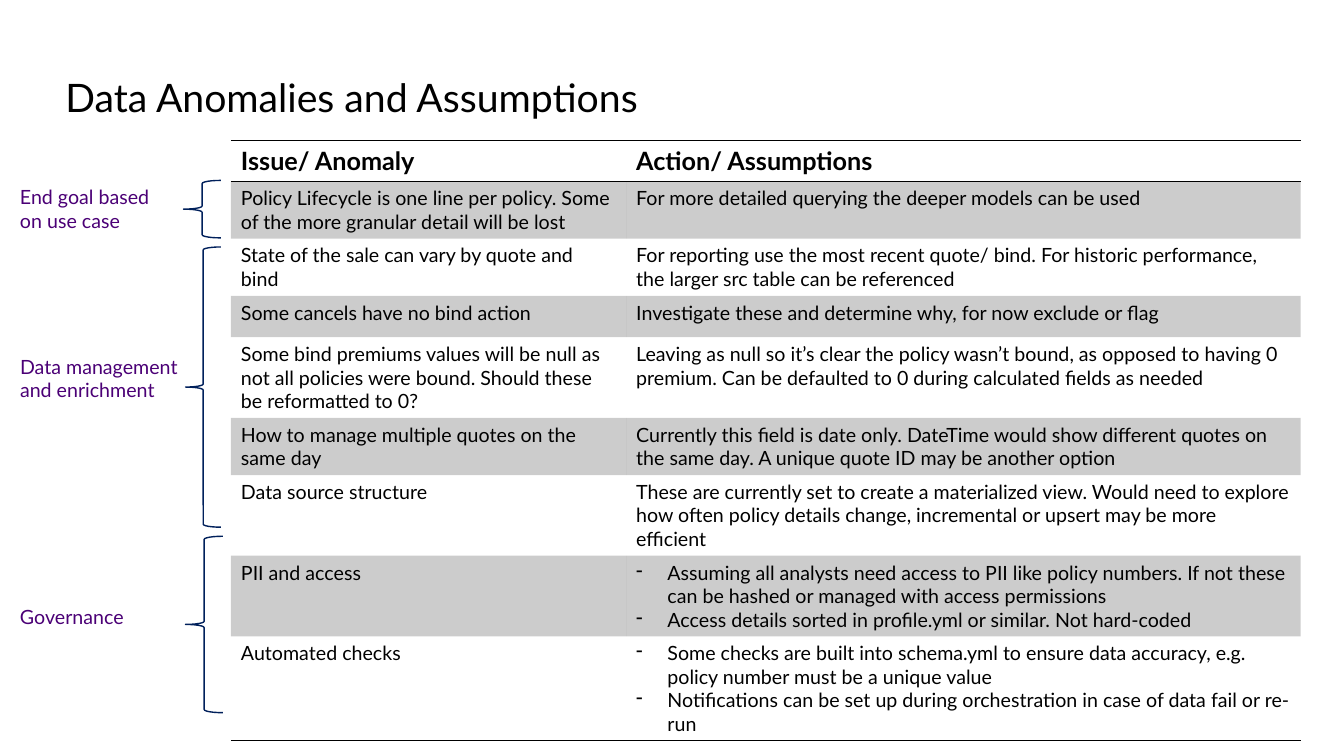
import pptx
import pptx.dml.color
import pptx.enum.shapes
import pptx.enum.text
import pptx.oxml
import pptx.oxml.ns
import pptx.util
from lxml import etree

Inches = pptx.util.Inches
Pt = pptx.util.Pt
qn = pptx.oxml.ns.qn

FONT = "Lato"
COLOURS = {"text": "000000", "label": "4B0076", "brace": "00205B"}
NO_TABLE_STYLE = "{2D5ABB26-0587-4C30-8999-92F81FD0307C}"

HEADINGS = ("Issue/ Anomaly", "Action/ Assumptions")
# An action given as a list is shown with dashes
ISSUES = [
    ("Policy Lifecycle is one line per policy. Some of the more granular detail will be lost",
     "For more detailed querying the deeper models can be used"),
    ("State of the sale can vary by quote and bind",
     "For reporting use the most recent quote/ bind. For historic performance, "
     "the larger src table can be referenced"),
    ("Some cancels have no bind action",
     "Investigate these and determine why, for now exclude or flag"),
    ("Some bind premiums values will be null as not all policies were bound. "
     "Should these be reformatted to 0?",
     "Leaving as null so it’s clear the policy wasn’t bound, as opposed to having 0 premium. "
     "Can be defaulted to 0 during calculated fields as needed"),
    ("How to manage multiple quotes on the same day",
     "Currently this field is date only. DateTime would show different quotes on the same day. "
     "A unique quote ID may be another option"),
    ("Data source structure",
     "These are currently set to create a materialized view. Would need to explore how often "
     "policy details change, incremental or upsert may be more efficient"),
    ("PII and access",
     ["Assuming all analysts need access to PII like policy numbers. "
      "If not these can be hashed or managed with access permissions",
      "Access details sorted in profile.yml or similar. Not hard-coded"]),
    ("Automated checks",
     ["Some checks are built into schema.yml to ensure data accuracy, e.g. "
      "policy number must be a unique value",
      "Notifications can be set up during orchestration in case of data fail or re-run"]),
]

# Label, its box, and the box of its brace
GROUPS = [
    ("End goal based on use case", (0.1, 1.79, 1.64, 0.57), (1.82, 1.79, 0.37, 0.57)),
    ("Data management and enrichment", (0.1, 3.47, 1.91, 0.57), (1.84, 2.45, 0.35, 2.78)),
    ("Governance", (0.1, 5.95, 1.37, 0.33), (1.84, 5.32, 0.37, 1.75)),
]


def rgb(name):
    return pptx.dml.color.RGBColor.from_string(COLOURS[name])


def write(frame, text, size=14, colour="text", bold=False, spacing=None):
    """Fill a text frame; a list of texts becomes dashed paragraphs."""
    dashed = isinstance(text, list)
    for index, line in enumerate(text if dashed else [text]):
        paragraph = frame.add_paragraph() if index else frame.paragraphs[0]
        if spacing:
            paragraph.line_spacing = spacing
        run = paragraph.add_run()
        run.text = line
        run.font.name = FONT
        run.font.size = Pt(size)
        run.font.bold = bold
        run.font.color.rgb = rgb(colour)
        if dashed:
            properties = paragraph._p.get_or_add_pPr()
            properties.set("marL", str(Inches(0.31)))
            properties.set("indent", str(-Inches(0.31)))
            etree.SubElement(properties, qn("a:buChar")).set("char", "-")


def add_text(slide, box, text, anchor=pptx.enum.text.MSO_ANCHOR.TOP, **style):
    frame = slide.shapes.add_textbox(*map(Inches, box)).text_frame
    frame.word_wrap = True
    frame.vertical_anchor = anchor
    write(frame, text, **style)


def add_brace(slide, box):
    brace = slide.shapes.add_shape(
        pptx.enum.shapes.MSO_SHAPE.LEFT_BRACE, *map(Inches, box))
    brace.shadow.inherit = False
    brace.fill.background()
    brace.line.color.rgb = rgb("brace")
    brace.line.width = Pt(1)


def shade(cell, grey):
    if not grey:
        cell.fill.background()
        return
    cell.fill.solid()
    cell.fill.fore_color.rgb = rgb("text")
    colour = cell._tc.tcPr.find(".//" + qn("a:srgbClr"))
    etree.SubElement(colour, qn("a:alpha")).set("val", "20000")


def rule(cell, sides):
    """Draw thin lines on the given sides, placed ahead of the fill."""
    for position, side in enumerate(sides):
        line = pptx.oxml.parse_xml(
            f'<a:ln{side} {pptx.oxml.ns.nsdecls("a")} w="{Pt(1)}"><a:solidFill>'
            f'<a:srgbClr val="{COLOURS["text"]}"/></a:solidFill></a:ln{side}>')
        cell._tc.get_or_add_tcPr().insert(position, line)


def add_issue_table(slide):
    rows = [HEADINGS] + ISSUES
    last = len(rows) - 1
    table = slide.shapes.add_table(
        len(rows), 2, Inches(2.29), Inches(1.39), Inches(10.61), Inches(3.75)).table
    table._tbl.tblPr.find(qn("a:tableStyleId")).text = NO_TABLE_STYLE
    table.horz_banding = False
    for column, width in zip(table.columns, (3.92, 6.69)):
        column.width = Inches(width)

    # Rows grow to fit their text
    for index, texts in enumerate(rows):
        header = index == 0
        table.rows[index].height = Inches(0.41)
        for column, text in enumerate(texts):
            cell = table.cell(index, column)
            write(cell.text_frame, text, size=18 if header else 14, bold=header)
            shade(cell, grey=index % 2 == 1)
            rule(cell, "TB" if header else "B" if index == last else "")
    # Even rows are plain, so the last two bands swap back to the listed pattern
    return table


def main():
    deck = pptx.Presentation()
    deck.slide_width = Inches(13.33)
    deck.slide_height = Inches(7.5)
    slide = deck.slides.add_slide(deck.slide_layouts[6])

    # Title
    add_text(slide, (0.55, 0.35, 11.5, 1.28), "Data Anomalies and Assumptions",
             anchor=pptx.enum.text.MSO_ANCHOR.MIDDLE, size=28, spacing=0.9)

    # Issues and actions
    add_issue_table(slide)

    # Groups beside the table
    for label, label_box, brace_box in GROUPS:
        add_text(slide, label_box, label, colour="label")
        add_brace(slide, brace_box)

    deck.save("out.pptx")


if __name__ == "__main__":
    main()
